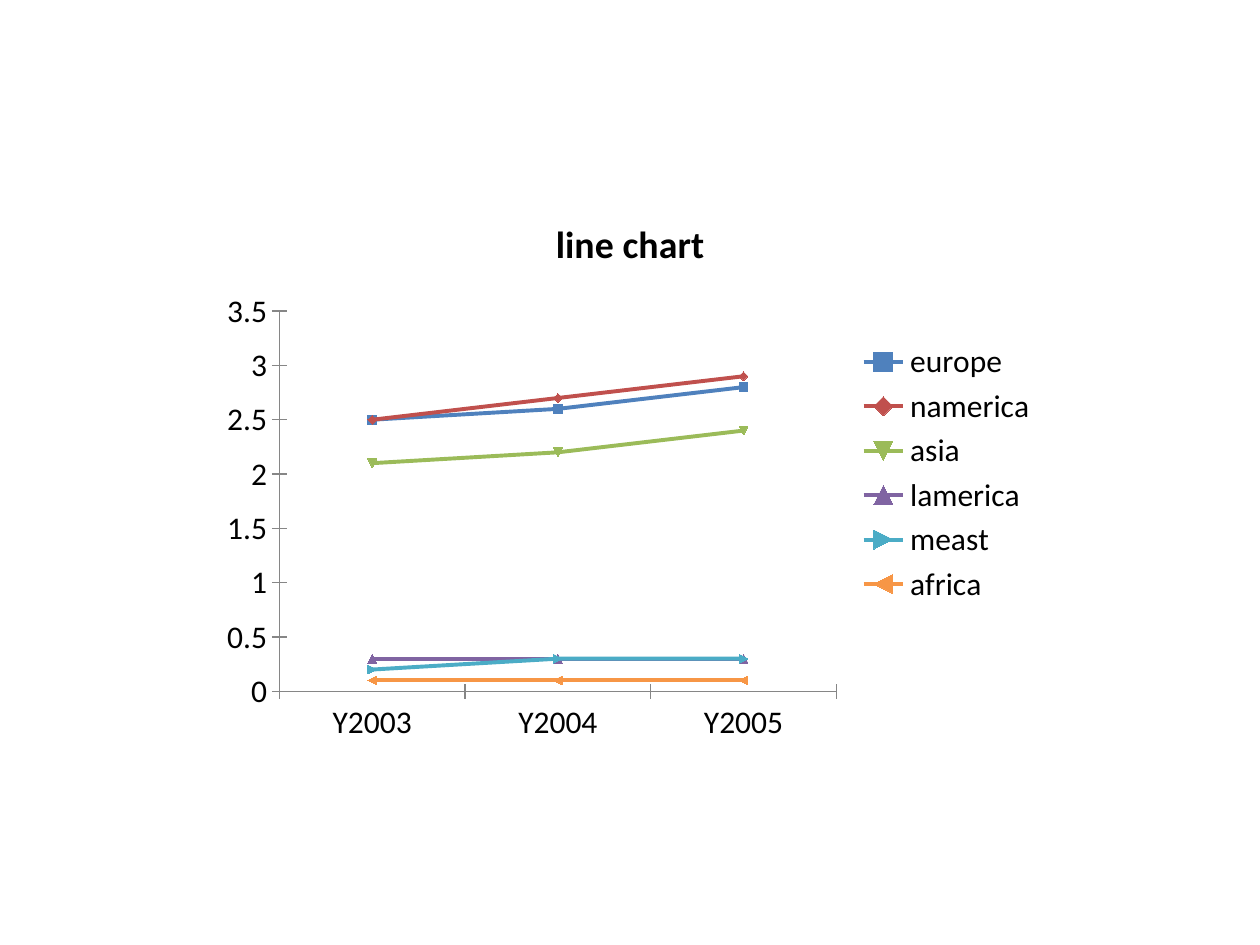
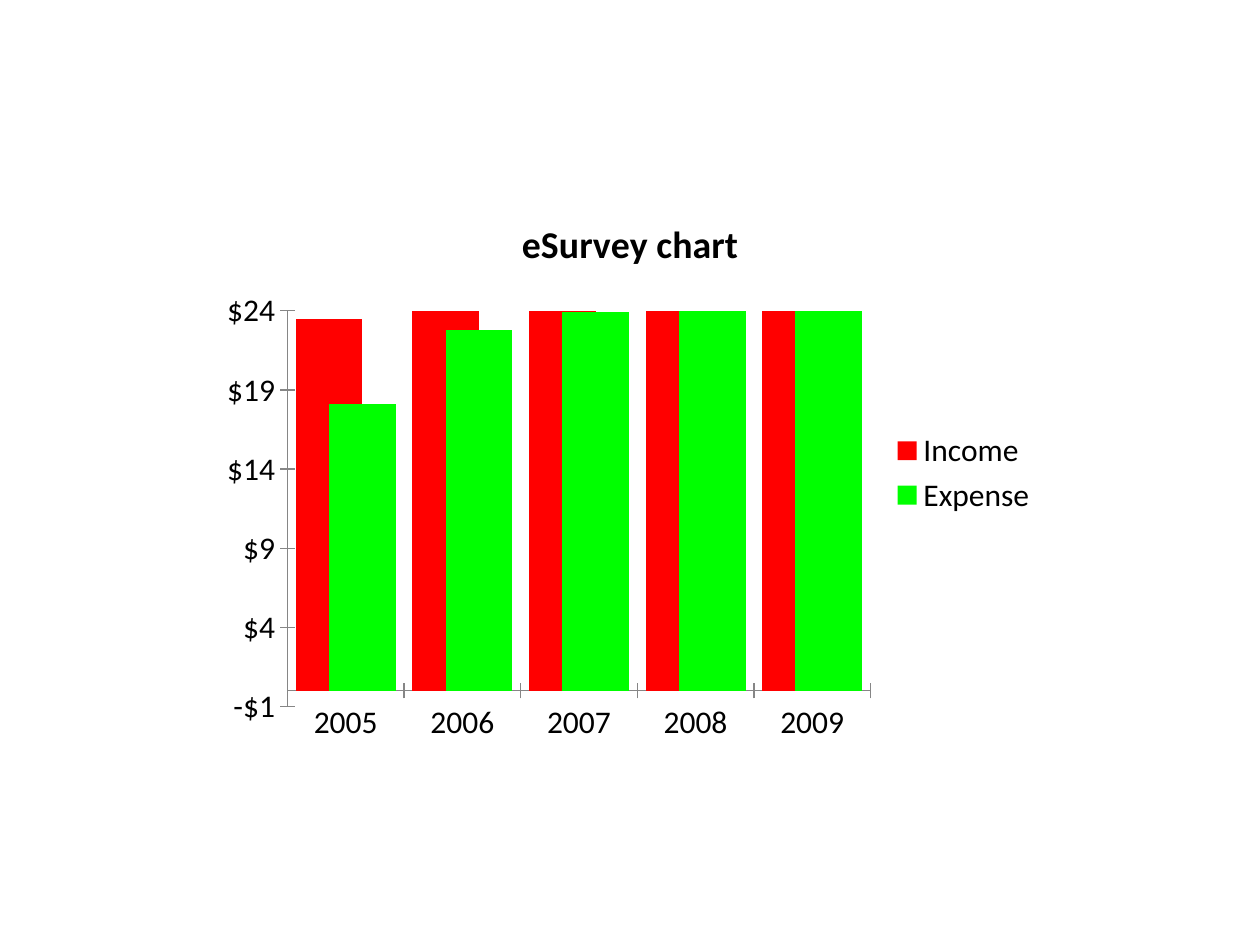
from dataclasses import dataclass

from pptx import Presentation
from pptx.chart.chart import Chart
from pptx.chart.data import CategoryChartData
from pptx.dml.color import RGBColor
from pptx.enum.chart import XL_CHART_TYPE as ChartType
from pptx.enum.chart import XL_LEGEND_POSITION as LegendPosition
from pptx.enum.chart import XL_TICK_MARK as TickMark
from pptx.presentation import Presentation as Deck
from pptx.util import Cm, Pt

COLOURS = {
    "text": "000000",
    "axis": "868686",
    "blue": "4F81BD",
    "brick": "C0504D",
    "olive": "9BBB59",
    "purple": "8064A2",
    "teal": "4BACC6",
    "orange": "F79646",
    "red": "FF0000",
    "green": "00FF00",
}
FONT = "Calibri"
BLANK_LAYOUT = 6
CHART_BOX = (Cm(4.24), Cm(3.89), Cm(16.93), Cm(11.29))


@dataclass(frozen=True)
class Series:
    """One named row of values and its colour."""

    name: str
    values: tuple[float, ...]
    colour: str


@dataclass(frozen=True)
class ChartSlide:
    """The content of a slide that holds a single chart."""

    title: str
    chart_type: ChartType
    categories: tuple[str, ...]
    series: tuple[Series, ...]
    number_format: str = "General"
    maximum: float | None = None


CHART_SLIDES = (
    ChartSlide(
        "line chart",
        ChartType.LINE_MARKERS,
        ("Y2003", "Y2004", "Y2005"),
        (
            Series("europe", (2.5, 2.6, 2.8), "blue"),
            Series("namerica", (2.5, 2.7, 2.9), "brick"),
            Series("asia", (2.1, 2.2, 2.4), "olive"),
            Series("lamerica", (0.3, 0.3, 0.3), "purple"),
            Series("meast", (0.2, 0.3, 0.3), "teal"),
            Series("africa", (0.1, 0.1, 0.1), "orange"),
        ),
    ),
    ChartSlide(
        "eSurvey chart",
        ChartType.COLUMN_CLUSTERED,
        ("2005", "2006", "2007", "2008", "2009"),
        (
            Series("Income", (23.5, 26.2, 30.1, 29.5, 24.6), "red"),
            Series("Expense", (18.1, 22.8, 23.9, 25.1, 25), "green"),
        ),
        number_format="$0",
        maximum=24,
    ),
)


def colour(name: str) -> RGBColor:
    """Return a palette colour."""
    return RGBColor.from_string(COLOURS[name])


def style_text(chart: Chart, title: str) -> None:
    """Set the chart's font, title and legend."""
    chart.font.name = FONT
    chart.font.size = Pt(18)
    chart.font.color.rgb = colour("text")

    chart.has_title = True
    chart.chart_title.include_in_layout = False
    chart.chart_title.text_frame.text = title
    title_font = chart.chart_title.text_frame.paragraphs[0].font
    title_font.name = FONT
    title_font.size = Pt(21.6)
    title_font.bold = True
    title_font.color.rgb = colour("text")

    chart.has_legend = True
    chart.legend.position = LegendPosition.RIGHT
    chart.legend.include_in_layout = False


def style_axes(chart: Chart, content: ChartSlide) -> None:
    """Give both axes thin grey lines and set the value scale."""
    for axis in (chart.category_axis, chart.value_axis):
        axis.has_major_gridlines = False
        axis.major_tick_mark = TickMark.CROSS
        axis.format.line.color.rgb = colour("axis")
        axis.format.line.width = Pt(0.75)
    labels = chart.value_axis.tick_labels
    labels.number_format = content.number_format
    labels.number_format_is_linked = False
    if content.maximum is not None:
        chart.value_axis.maximum_scale = content.maximum


def style_series(chart: Chart, content: ChartSlide) -> None:
    """Colour the lines and markers, or the columns."""
    plot = chart.plots[0]
    plot.vary_by_categories = False
    is_line = content.chart_type == ChartType.LINE_MARKERS
    if not is_line:
        plot.gap_width = 25
        plot.overlap = 50
    for drawn, series in zip(plot.series, content.series):
        if is_line:
            drawn.smooth = False
            drawn.format.line.color.rgb = colour(series.colour)
            drawn.format.line.width = Pt(2.25)
            drawn.marker.size = 5
            fill = drawn.marker.format.fill
        else:
            fill = drawn.format.fill
        fill.solid()
        fill.fore_color.rgb = colour(series.colour)


def add_chart_slide(presentation: Deck, content: ChartSlide) -> None:
    """Add a blank slide and draw its chart."""
    slide = presentation.slides.add_slide(presentation.slide_layouts[BLANK_LAYOUT])
    data = CategoryChartData()
    data.categories = content.categories
    for series in content.series:
        data.add_series(series.name, series.values)
    chart = slide.shapes.add_chart(content.chart_type, *CHART_BOX, data).chart
    style_text(chart, content.title)
    style_axes(chart, content)
    style_series(chart, content)


def main() -> None:
    """Build and save the presentation."""
    presentation = Presentation()
    presentation.slide_width = Cm(25.4)
    presentation.slide_height = Cm(19.05)
    for content in CHART_SLIDES:
        add_chart_slide(presentation, content)
    presentation.save("out.pptx")


main()
